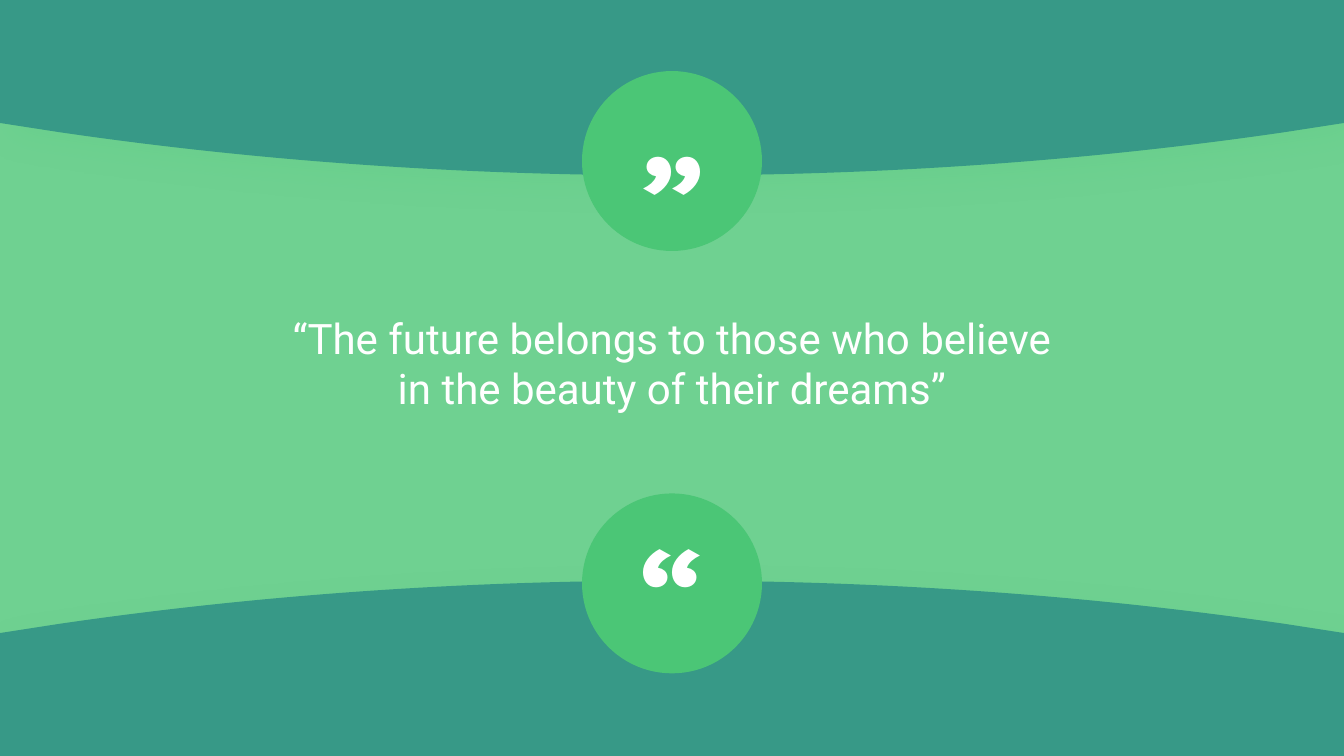
from dataclasses import dataclass

from lxml import etree
from pptx import Presentation
from pptx.dml.color import RGBColor
from pptx.enum import shapes, text
from pptx.oxml.ns import qn
from pptx.util import Inches, Pt

WIDTH, HEIGHT = 26.66, 15
GREEN, TEAL, WHITE = "4BC676", "379987", "FFFFFF"
BAND_HEIGHT = 3.48
# Right half of a band's outline, ending at the centre of its curve.
BAND_CORNERS = [(WIDTH, 0), (WIDTH, 2.44), (25.5, 2.62)]
BAND_CONTROLS = [(21.61, 3.19), (17.53, BAND_HEIGHT)]
BADGE_SIZE = 3.57
MARK_WIDTH, MARK_HEIGHT = 6.77, 3.47


@dataclass
class End:
    """The curved band and quote badge at one end of the slide."""
    band_top: float
    badge_top: float
    mark_top: float
    rotation: int


ENDS = [
    End(0, 1.41, 2.1, 0),
    End(HEIGHT - BAND_HEIGHT, 9.79, 9.2, 180),
]


def rgb(value: str) -> RGBColor:
    return RGBColor.from_string(value)


def paint(sp, color: str) -> None:
    sp.shadow.inherit = False
    sp.fill.solid()
    sp.fill.fore_color.rgb = rgb(color)
    sp.line.fill.background()


def set_alpha(color_element, percent: int) -> None:
    etree.SubElement(color_element, qn("a:alpha"), val=str(percent * 1000))


def add_soft_shadow(sp) -> None:
    effects = sp._element.spPr.find(qn("a:effectLst"))
    shadow = etree.SubElement(
        effects, qn("a:outerShdw"), blurRad=str(Pt(44)), dist=str(Pt(21)),
        dir=str(45 * 60000), algn="ctr", rotWithShape="0")
    set_alpha(etree.SubElement(shadow, qn("a:srgbClr"), val=GREEN), 14)


def add_text(parent, content: str, left: float, top: float, width: float,
             height: float, **font_format):
    sp = parent.add_textbox(*map(Inches, (left, top, width, height)))
    tf = sp.text_frame
    tf.word_wrap = True
    tf.auto_size = text.MSO_AUTO_SIZE.SHAPE_TO_FIT_TEXT
    p = tf.paragraphs[0]
    p.alignment = text.PP_ALIGN.CENTER
    r = p.add_run()
    r.text = content
    for name, value in font_format.items():
        setattr(r.font, name, value)
    r.font.color.rgb = rgb(WHITE)
    return sp


def bend(sp, first: int) -> None:
    """Merge three line segments, from the given one on, into a Bézier curve."""
    path = next(sp._element.iter(qn("a:path")))
    segments = path.findall(qn("a:lnTo"))[first:first + 3]
    curve = etree.Element(qn("a:cubicBezTo"))
    segments[0].addprevious(curve)
    for segment in segments:
        curve.append(segment[0])
        path.remove(segment)


def add_band(s, end: End) -> None:
    half = BAND_CORNERS + BAND_CONTROLS
    mirrored = [(WIDTH - x, y) for x, y in reversed(half)]
    outline = half + [(WIDTH / 2, BAND_HEIGHT)] + mirrored
    start, *points = [(Inches(x), Inches(y)) for x, y in outline]
    builder = s.shapes.build_freeform(*start)
    builder.add_line_segments(points, close=True)
    sp = builder.convert_to_shape()
    first = len(BAND_CORNERS) - 1
    for index in (first + 3, first):
        bend(sp, index)
    sp.top = Inches(end.band_top)
    sp.rotation = end.rotation
    paint(sp, TEAL)
    add_soft_shadow(sp)


def add_badge(s, end: End) -> None:
    group = s.shapes.add_group_shape().shapes
    circle = group.add_shape(
        shapes.MSO_SHAPE.OVAL, Inches((WIDTH - BADGE_SIZE) / 2),
        Inches(end.badge_top), Inches(BADGE_SIZE), Inches(BADGE_SIZE))
    paint(circle, GREEN)
    mark = add_text(group, "”", (WIDTH - MARK_WIDTH) / 2, end.mark_top,
                    MARK_WIDTH, MARK_HEIGHT,
                    size=Pt(200), name="Karla", bold=True)
    for sp in (circle, mark):
        sp.rotation = end.rotation


def main() -> None:
    prs = Presentation()
    prs.slide_width, prs.slide_height = Inches(WIDTH), Inches(HEIGHT)
    s = prs.slides.add_slide(prs.slide_layouts[6])

    backdrop = s.shapes.add_shape(shapes.MSO_SHAPE.RECTANGLE, 0, 0,
                                  prs.slide_width, prs.slide_height)
    paint(backdrop, GREEN)
    set_alpha(backdrop._element.spPr.find(qn("a:solidFill"))[0], 80)

    add_text(s.shapes,
             "“The future belongs to those who believe "
             "in the beauty of their dreams”",
             5.44, 6.15, 15.78, 2.12, size=Pt(60), name="Roboto")
    for end in ENDS:
        add_band(s, end)
    for end in ENDS:
        add_badge(s, end)
    prs.save("out.pptx")


if __name__ == "__main__":
    main()
